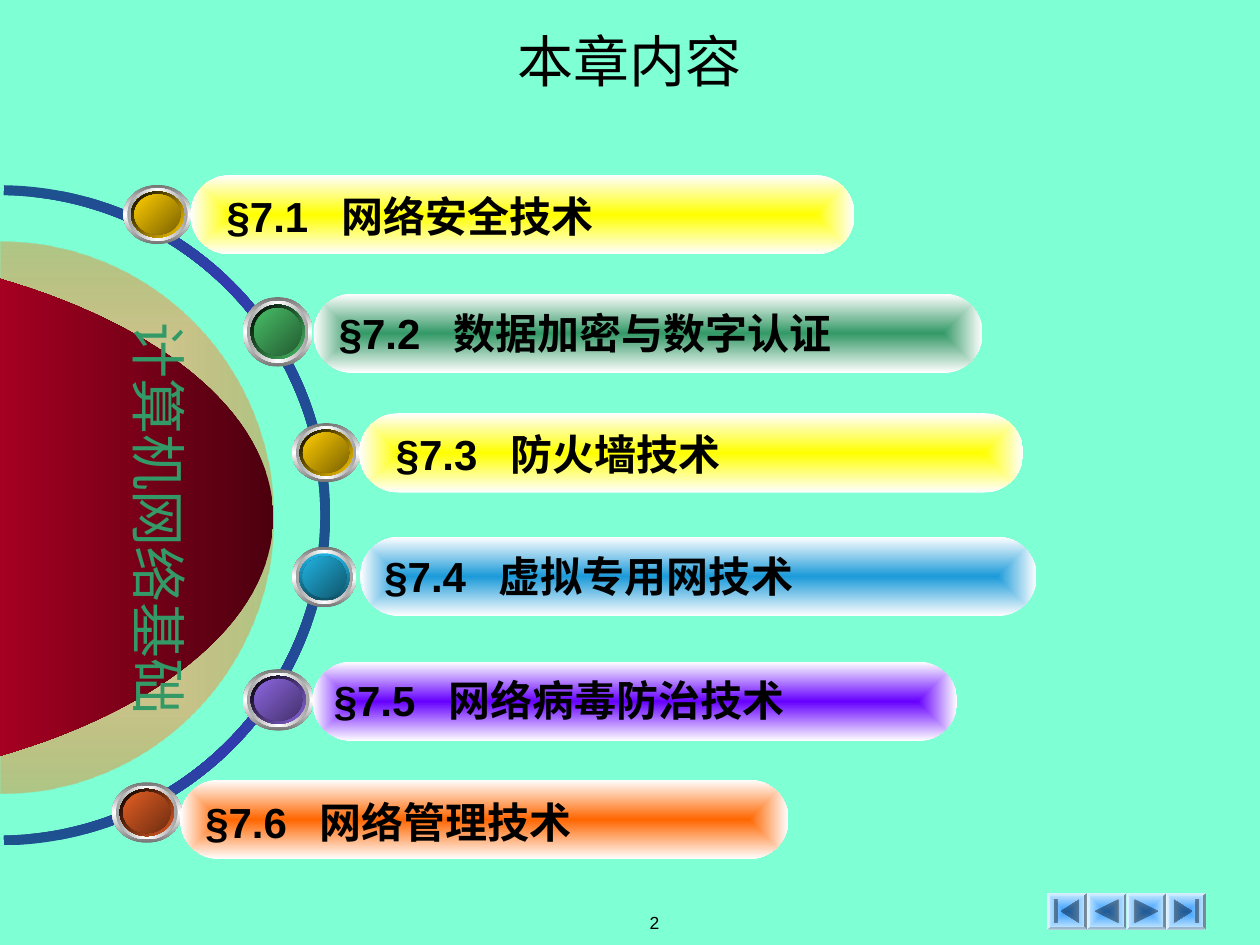
import math

import pptx
import pptx.dml.color
import pptx.enum.shapes
import pptx.enum.text
import pptx.oxml
import pptx.oxml.ns
import pptx.util
from lxml import etree

Cm = pptx.util.Cm
Pt = pptx.util.Pt
KIND = pptx.enum.shapes.MSO_SHAPE
ALIGN = pptx.enum.text.PP_ALIGN
ANCHOR = pptx.enum.text.MSO_ANCHOR
qn = pptx.oxml.ns.qn

# Content: boxes are in centimetres
TITLE = "本章内容"
COURSE = "计算机网络基础"
PAGE_NUMBER = "2"
SECTIONS = [
    # number, topic, ball (left, top, width, height), bar (left, top, width),
    # label (left, top), bar colour, bar edge, ball colour, (rim colour, rim angle)
    ("§7.1", "网络安全技术", (2.49, 3.73, 1.37, 1.19), (3.84, 3.53, 13.39),
     (4.57, 3.84), "FFFF00", "FEFEFE", "FFCC00", ("000000", 225)),
    ("§7.2", "数据加密与数字认证", (4.9, 5.99, 1.4, 1.4), (6.32, 5.92, 13.49),
     (6.83, 6.2), "339966", "FFFFFF", "48BE67", ("000000", 225)),
    ("§7.3", "防火墙技术", (5.89, 8.53, 1.37, 1.19), (7.24, 8.33, 13.39),
     (7.98, 8.64), "FFFF00", "FEFEFE", "FFCC00", ("000000", 225)),
    ("§7.4", "虚拟专用网技术", (5.89, 11.02, 1.3, 1.22), (7.26, 10.82, 13.64),
     (7.75, 11.1), "1B9AD9", "FFFFFF", "21B3E1", ("0F5267", 90)),
    ("§7.5", "网络病毒防治技术", (4.9, 13.49, 1.42, 1.24), (6.3, 13.34, 13),
     (6.73, 13.59), "6600FF", "FFFFFF", "8D67E1", ("000000", 225)),
    ("§7.6", "网络管理技术", (2.26, 15.77, 1.4, 1.22), (3.63, 15.72, 12.27),
     (4.14, 16.05), "FF6600", "FFFFFF", "E35E23", ("000000", 225)),
]
ARCS = [
    # box, adjustments, gradient stops
    ((-6.68, 3.71, 13.31, 13.36), (108.52, 215.48, 0.015),
     [(0, "6600FF"), (100, "1D528D")]),
    ((-5.56, 4.93, 11.13, 11), (108, 0, 0.497),
     [(0, "FFFFFF"), (100, "FF6600", 36)]),
]
DOME = {"center": (-5.51, 10.43), "radii": (11.02, 5.55), "steps": 90}

# Navigation buttons: icon outlines for "previous" and "first", mirrored for the others
NAV = {"left": 21.11, "top": 18.01, "width": 0.8, "height": 0.73, "bevel": 0.05}
PREVIOUS = [[(0.17, 0.36), (0.63, 0.13), (0.63, 0.59)]]
FIRST = [[(0.28, 0.36), (0.64, 0.13), (0.64, 0.59)],
         [(0.15, 0.13), (0.2, 0.13), (0.2, 0.59), (0.15, 0.59)]]
BUTTONS = [(FIRST, False), (PREVIOUS, False), (PREVIOUS, True), (FIRST, True)]

THEME = {
    "background": "7FFFD4",
    "latin": "Arial",
    "asian": "Noto Sans CJK SC",
    "dome": [(0, "4C000F"), (50, "A50021"), (100, "4C000F")],
    "button": [(0, "3399FF"), (100, "CCECFF")],
    "outer": [(0, "757575"), (50, "FFFFFF"), (100, "757575")],
    "inner": [(0, "A1A1A1"), (50, "FFFFFF"), (100, "A1A1A1")],
    "title": {"size": Pt(32), "bold": False, "color": "000000"},
    "course": {"size": Pt(32), "color": "339966"},
    "section": {"size": Pt(24), "bold": True, "color": "000000"},
    "number": {"size": Pt(10), "color": "000000"},
    "course_outline": "008000",
}


def rgb(code):
    return pptx.dml.color.RGBColor.from_string(code)


def paint(shape, stops, angle=None):
    """Gradient fill: linear at an angle, or from the centre outwards."""
    shape.shadow.inherit = False
    shape.line.fill.background()
    shape.fill.gradient()
    grad = shape._element.spPr.find(qn("a:gradFill"))
    for child in list(grad):
        grad.remove(child)
    stop_list = etree.SubElement(grad, qn("a:gsLst"))
    for position, color, *alpha in stops:
        stop = etree.SubElement(stop_list, qn("a:gs"), pos=str(position * 1000))
        value = etree.SubElement(stop, qn("a:srgbClr"), val=color)
        for percent in alpha:
            etree.SubElement(value, qn("a:alpha"), val=str(percent * 1000))
    if angle is None:
        center = etree.SubElement(grad, qn("a:path"), {"path": "rect"})
        sides = dict.fromkeys("ltrb", "50000")
        etree.SubElement(center, qn("a:fillToRect"), sides)
    else:
        etree.SubElement(grad, qn("a:lin"), ang=str(angle * 60000), scaled="0")


def add_preset(parent, kind, box, stops, angle=None):
    shape = parent.shapes.add_shape(kind, *map(Cm, box))
    paint(shape, stops, angle)
    return shape


def set_frame(box, margins=(0, 0), **formats):
    frame = box.text_frame
    frame.margin_left = frame.margin_right = Cm(margins[0])
    frame.margin_top = frame.margin_bottom = Cm(margins[1])
    for name, value in formats.items():
        setattr(frame, name, value)
    return frame.paragraphs[0]


def add_span(para, text, style, font):
    span = para.add_run()
    span.text = text
    for name, value in style.items():
        if name == "color":
            span.font.color.rgb = rgb(value)
        else:
            setattr(span.font, name, value)
    span.font.name = font
    etree.SubElement(span._r.get_or_add_rPr(), qn("a:ea"), typeface=THEME["asian"])
    return span


def add_section(page, section):
    number, topic, ball, bar, label, color, edge, ball_color, rim = section
    group = page.shapes.add_group_shape()

    # Ball: four concentric ellipses
    left, top, width, height = ball
    dark = "".join(f"{round(int(ball_color[i:i + 2], 16) * 0.48):02X}" for i in (0, 2, 4))
    layers = [(1, THEME["outer"], 90), (0.89, THEME["inner"], 180),
              (0.78, [(0, ball_color), (100, rim[0])], rim[1]),
              (0.68, [(0, dark), (100, ball_color)], 225)]
    for scale, stops, angle in layers:
        inset = (1 - scale) / 2
        box = (left + width * inset, top + height * inset, width * scale, height * scale)
        add_preset(group, KIND.OVAL, box, stops, angle)

    # Bar and its label
    pill = add_preset(group, KIND.ROUNDED_RECTANGLE, (*bar, 1.6), [(0, color), (100, edge)])
    pill.adjustments[0] = 0.5
    width = bar[0] + bar[2] - label[0]
    box = group.shapes.add_textbox(*map(Cm, (*label, width, 1.02)))
    para = set_frame(box, word_wrap=True)
    tabs = etree.SubElement(para._p.get_or_add_pPr(), qn("a:tabLst"))
    etree.SubElement(tabs, qn("a:tab"), pos=str(Cm(2.31)), algn="l")
    add_span(para, number + "\t", THEME["section"], THEME["latin"])
    add_span(para, topic, THEME["section"], THEME["asian"])


def add_outline(page, contours):
    """One freeform made of closed contours given in centimetres."""
    contours = [[(Cm(x), Cm(y)) for x, y in points] for points in contours]
    builder = page.shapes.build_freeform(*contours[0][0])
    for index, points in enumerate(contours):
        if index:
            builder.move_to(*points[0])
        builder.add_line_segments(points[1:], close=True)
    return builder.convert_to_shape()


def add_button(page, left, icon, mirrored):
    top, w, h, b = (NAV[key] for key in ("top", "width", "height", "bevel"))
    outer = [(0, 0), (w, 0), (w, h), (0, h)]
    inner = [(b, b), (w - b, b), (w - b, h - b), (b, h - b)]
    bevels = [[outer[i], outer[(i + 1) % 4], inner[(i + 1) % 4], inner[i]] for i in range(4)]
    if mirrored:
        icon = [[(w - x, y) for x, y in points] for points in icon]
    contours = [outer, *bevels, *icon]
    shades = ["norm", "lightenLess", "darken", "darkenLess", "lighten"] + ["darken"] * len(icon)
    button = add_outline(page, [[(left + x, top + y) for x, y in c] for c in contours])
    paint(button, THEME["button"])

    # Give every contour its own shade of the fill
    whole = button._element.spPr.find(".//" + qn("a:pathLst"))[0]
    outlines, current = whole.getparent(), None
    for step in list(whole):
        if step.tag == qn("a:moveTo"):
            current = etree.SubElement(outlines, qn("a:path"), dict(whole.attrib))
            current.set("fill", shades.pop(0))
        current.append(step)
    outlines.remove(whole)


def main():
    deck = pptx.Presentation()
    deck.slide_width, deck.slide_height = Cm(25.4), Cm(19.05)
    page = deck.slides.add_slide(deck.slide_layouts[5])
    page.background.fill.solid()
    page.background.fill.fore_color.rgb = rgb(THEME["background"])

    # Title
    title = page.shapes.title
    title.left, title.top, title.width, title.height = map(Cm, (0, 0.43, 25.4, 1.57))
    para = set_frame(title, (0.25, 0.13), vertical_anchor=ANCHOR.MIDDLE, word_wrap=True)
    para.alignment = ALIGN.CENTER
    add_span(para, TITLE, THEME["title"], THEME["asian"])

    # Page number and navigation
    box = page.shapes.add_textbox(*map(Cm, (10.49, 18.14, 5.41, 0.91)))
    para = set_frame(box, (0.25, 0.13), vertical_anchor=ANCHOR.MIDDLE, word_wrap=True)
    para.alignment = ALIGN.CENTER
    add_span(para, PAGE_NUMBER, THEME["number"], THEME["latin"])
    for index, (icon, mirrored) in enumerate(BUTTONS):
        add_button(page, NAV["left"] + index * NAV["width"], icon, mirrored)

    # Arcs and sections
    for box, values, stops in ARCS:
        arc = add_preset(page, KIND.BLOCK_ARC, box, stops)
        arc.rotation = 90
        for index, value in enumerate(values):
            arc.adjustments[index] = value
    for section in SECTIONS:
        add_section(page, section)

    # Dome with the course name
    (x, y), (rx, ry), steps = DOME["center"], DOME["radii"], DOME["steps"]
    angles = [math.pi * (i / steps - 0.5) for i in range(steps + 1)]
    dome = add_outline(page, [[(x + rx * math.cos(a), y + ry * math.sin(a)) for a in angles]])
    paint(dome, THEME["dome"], 0)
    box = page.shapes.add_textbox(*map(Cm, (-3.35, 7.24, 7.98, 6.5)))
    box.rotation = 90
    span = add_span(set_frame(box, word_wrap=False), COURSE, THEME["course"], THEME["asian"])
    line = etree.Element(qn("a:ln"), w=str(Pt(0.75)))
    fill = etree.SubElement(line, qn("a:solidFill"))
    etree.SubElement(fill, qn("a:srgbClr"), val=THEME["course_outline"])
    span._r.get_or_add_rPr().insert(0, line)

    deck.save("out.pptx")


if __name__ == "__main__":
    main()
